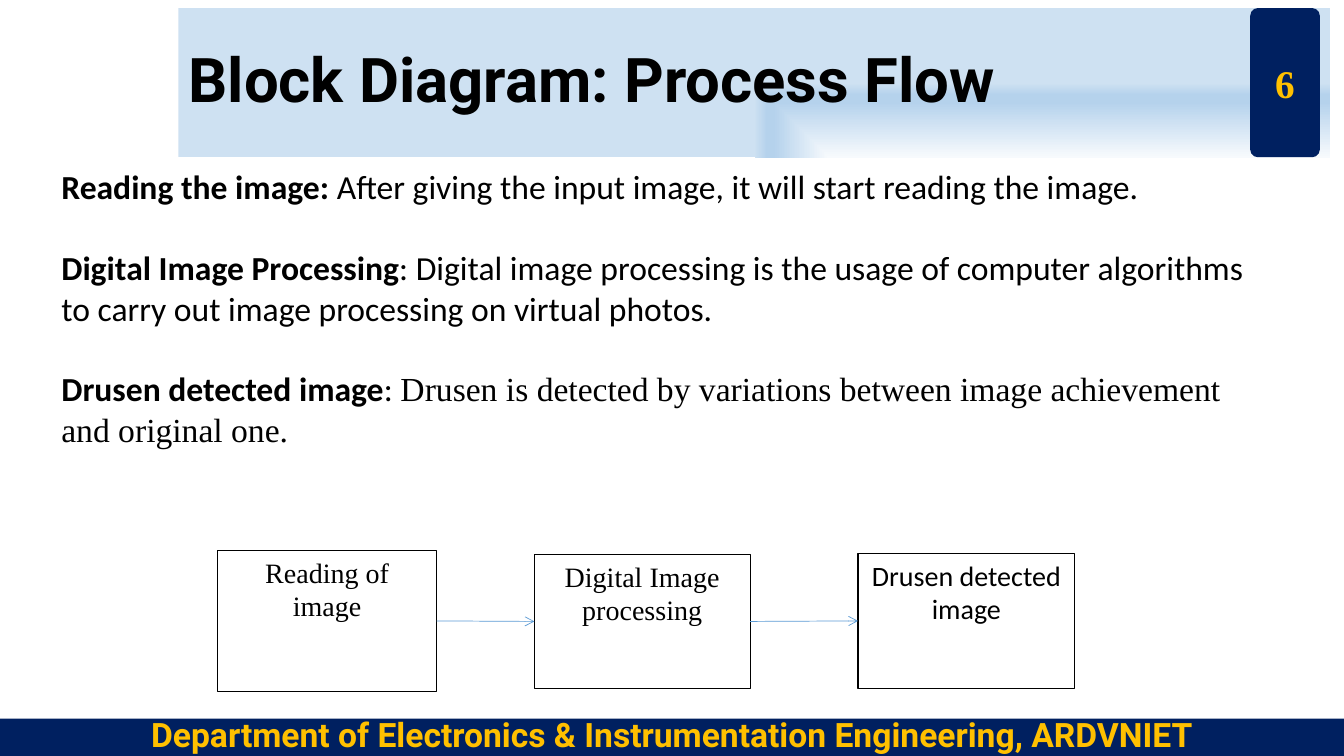
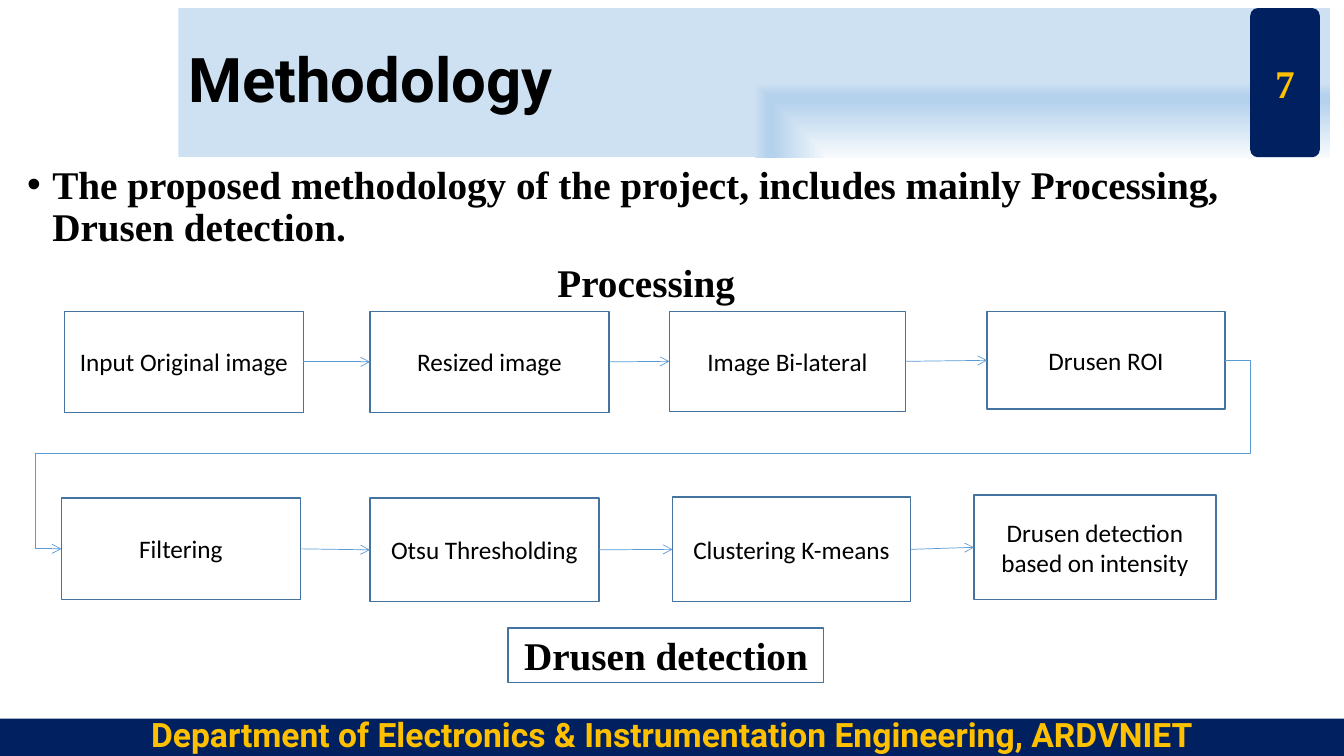
"""Build two slides on a drusen detection project: process flow and methodology."""
from dataclasses import dataclass
from itertools import pairwise

from lxml.etree import SubElement
from pptx import Presentation
from pptx.dml.color import RGBColor
from pptx.enum.shapes import MSO_CONNECTOR, MSO_SHAPE
from pptx.enum.text import MSO_ANCHOR, PP_ALIGN
from pptx.oxml import parse_xml
from pptx.oxml.ns import nsdecls, qn
from pptx.util import Inches, Pt


@dataclass(frozen=True)
class Theme:
    """Colours, fonts and type sizes of the deck."""
    navy: str = "002060"
    gold: str = "FFC000"
    black: str = "000000"
    white: str = "FFFFFF"
    box_line: str = "43739E"
    arrow: str = "5B9BD5"
    band: tuple = ((0, "F7FAFD"), (74, "B5D2EC"), (83, "B5D2EC"), (100, "CEE1F2"))
    heading: str = "Roboto"
    body: str = "Calibri"
    serif: str = "Times New Roman"
    title_size: int = 44
    lead_size: int = 28
    text_size: int = 24
    block_size: int = 20
    step_size: int = 18


THEME = Theme()
SLIDE_SIZE = (13.33, 7.5)
FOOTER = "Department of Electronics & Instrumentation Engineering, ARDVNIET"

FLOW = {
    "number": 6,
    "title": "Block Diagram: Process Flow",
    "stages": [
        ("Reading the image: ",
         [("After giving the input image, it will start reading the image.", THEME.body)]),
        ("Digital Image Processing",
         [(": Digital image processing is the usage of computer algorithms "
           "to carry out image processing on virtual photos.", THEME.body)]),
        ("Drusen detected image",
         [(": ", THEME.body),
          ("Drusen is detected by variations between image achievement "
           "and original one.", THEME.serif)]),
    ],
    "blocks": [
        ("Reading of image", THEME.serif, (2.16, 5.46, 2.17, 1.4)),
        ("Digital Image processing", THEME.serif, (5.3, 5.5, 2.14, 1.33)),
        ("Drusen detected image", THEME.body, (8.51, 5.49, 2.15, 1.34)),
    ],
}

METHOD = {
    "number": 7,
    "title": "Methodology",
    "lead": "The proposed methodology of the project, includes mainly Processing, "
            "Drusen detection.",
    "phase": "Processing",
    "rows": [
        [("Input Original image", (0.64, 3.09, 2.37, 1)),
         ("Resized image", (3.67, 3.09, 2.37, 1)),
         ("Image Bi-lateral", (6.64, 3.09, 2.34, 0.99)),
         ("Drusen ROI", (9.79, 3.09, 2.36, 0.97))],
        [("Filtering", (0.61, 4.94, 2.37, 1.01)),
         ("Otsu Thresholding", (3.67, 4.94, 2.27, 1.03)),
         ("Clustering K-means", (6.67, 4.93, 2.36, 1.04)),
         ("Drusen detection based on intensity", (9.66, 4.91, 2.4, 1.04))],
    ],
    "result": ("Drusen detection", (5.04, 6.23, 3.13, 0.54)),
}
RETURN_MARGIN = Inches(0.25)
RETURN_LEVEL = Inches(4.5)


def add_run(paragraph, text, size, font, color=THEME.black, bold=False):
    run = paragraph.add_run()
    run.text = text
    run.font.size = Pt(size)
    run.font.name = font
    run.font.bold = bold
    run.font.color.rgb = RGBColor.from_string(color)


def add_panel(slide, place, fill=None, line=None, line_width=1, kind=MSO_SHAPE.RECTANGLE,
              anchor=MSO_ANCHOR.MIDDLE, align=PP_ALIGN.CENTER):
    panel = slide.shapes.add_shape(kind, *map(Inches, place))
    panel.shadow.inherit = False
    if fill:
        panel.fill.solid()
        panel.fill.fore_color.rgb = RGBColor.from_string(fill)
    if line:
        panel.line.color.rgb = RGBColor.from_string(line)
        panel.line.width = Pt(line_width)
    else:
        panel.line.fill.background()
    panel.text_frame.word_wrap = True
    panel.text_frame.vertical_anchor = anchor
    panel.text_frame.paragraphs[0].alignment = align
    return panel


def add_text_area(slide, place):
    frame = slide.shapes.add_textbox(*map(Inches, place)).text_frame
    frame.word_wrap = True
    return frame


def fill_band(band):
    stops = "".join(f'<a:gs pos="{pos * 1000}"><a:srgbClr val="{color}"/></a:gs>'
                    for pos, color in THEME.band)
    gradient = parse_xml(
        f'<a:gradFill {nsdecls("a")} rotWithShape="1"><a:gsLst>{stops}</a:gsLst>'
        '<a:path path="rect"><a:fillToRect l="100000" t="100000"/></a:path>'
        '<a:tileRect r="-100000" b="-100000"/></a:gradFill>')
    band._element.spPr.find(qn("a:prstGeom")).addnext(gradient)


def add_arrow(slide, start, end, kind=MSO_CONNECTOR.STRAIGHT):
    arrow = slide.shapes.add_connector(kind, 0, 0, 0, 0)
    arrow.begin_connect(start, 3)
    arrow.end_connect(end, 1)
    arrow.line.color.rgb = RGBColor.from_string(THEME.arrow)
    arrow.line.width = Pt(0.5)
    SubElement(arrow.line._get_or_add_ln(), qn("a:tailEnd"), type="arrow")
    SubElement(arrow._element.spPr, qn("a:effectLst"))
    return arrow


def add_row_return(slide, start, end):
    arrow = add_arrow(slide, start, end, MSO_CONNECTOR.ELBOW)
    overhang = round(RETURN_MARGIN / arrow.width * 100000)
    level = round((RETURN_LEVEL - arrow.top) / arrow.height * 100000)
    geometry = arrow._element.spPr.find(qn("a:prstGeom"))
    geometry.set("prst", "bentConnector5")
    guides = geometry.find(qn("a:avLst"))
    if guides is None:
        guides = SubElement(geometry, qn("a:avLst"))
    for index, value in enumerate((-overhang, level, 100000 + overhang), 1):
        SubElement(guides, qn("a:gd"), name=f"adj{index}", fmla=f"val {value}")


def start_slide(deck, content):
    slide = deck.slides.add_slide(deck.slide_layouts[6])
    band = add_panel(slide, (1.77, 0.08, 11.42, 1.48), align=PP_ALIGN.LEFT)
    fill_band(band)
    title = band.text_frame.paragraphs[0]
    title.line_spacing = 0.9
    add_run(title, content["title"], THEME.title_size, THEME.heading, bold=True)

    badge = add_panel(slide, (12.4, 0.08, 0.69, 1.48), THEME.navy,
                      kind=MSO_SHAPE.ROUNDED_RECTANGLE)
    badge.adjustments[0] = 0.11
    badge.text_frame.margin_left = badge.text_frame.margin_right = Inches(0.05)
    add_run(badge.text_frame.paragraphs[0], str(content["number"]), THEME.lead_size,
            THEME.serif, THEME.gold, True)

    footer = add_panel(slide, (0, 7.13, 13.33, 0.37), THEME.navy, anchor=MSO_ANCHOR.BOTTOM)
    footer.text_frame.margin_bottom = Inches(0.02)
    add_run(footer.text_frame.paragraphs[0], FOOTER, THEME.text_size, THEME.heading,
            THEME.gold, True)
    return slide


def build_flow(deck):
    slide = start_slide(deck, FLOW)
    frame = add_text_area(slide, (0.51, 1.6, 12.19, 3.33))
    for index, (term, explanation) in enumerate(FLOW["stages"]):
        paragraph = frame.add_paragraph() if index else frame.paragraphs[0]
        paragraph.space_before = Pt(29 if index else 0)
        add_run(paragraph, term, THEME.text_size, THEME.body, bold=True)
        for text, font in explanation:
            add_run(paragraph, text, THEME.text_size, font)

    blocks = []
    for label, font, place in FLOW["blocks"]:
        block = add_panel(slide, place, THEME.white, THEME.black, 0.75, anchor=MSO_ANCHOR.TOP)
        add_run(block.text_frame.paragraphs[0], label, THEME.block_size, font)
        blocks.append(block)
    for start, end in pairwise(blocks):
        add_arrow(slide, start, end)


def build_method(deck):
    slide = start_slide(deck, METHOD)
    frame = add_text_area(slide, (0.17, 1.59, 12.99, 1.45))
    lead, phase = frame.paragraphs[0], frame.add_paragraph()
    for paragraph, text, left, hang in ((lead, METHOD["lead"], 0.25, -0.25),
                                        (phase, METHOD["phase"], 5.26, 0)):
        paragraph.line_spacing = 0.9
        paragraph.space_before = Pt(10)
        properties = paragraph._p.get_or_add_pPr()
        properties.set("marL", str(Inches(left)))
        properties.set("indent", str(Inches(hang)))
        add_run(paragraph, text, THEME.lead_size, THEME.serif, bold=True)
    bullet = lead._p.get_or_add_pPr()
    SubElement(bullet, qn("a:buFont"), typeface="Arial")
    SubElement(bullet, qn("a:buChar"), char="•")

    rows = []
    for row in METHOD["rows"]:
        steps = []
        for label, place in row:
            step = add_panel(slide, place, THEME.white, THEME.box_line)
            add_run(step.text_frame.paragraphs[0], label, THEME.step_size, THEME.body)
            steps.append(step)
        for start, end in pairwise(steps):
            add_arrow(slide, start, end)
        rows.append(steps)
    for upper, lower in pairwise(rows):
        add_row_return(slide, upper[-1], lower[0])

    label, place = METHOD["result"]
    result = add_panel(slide, place, THEME.white, THEME.box_line)
    add_run(result.text_frame.paragraphs[0], label, THEME.lead_size, THEME.serif, bold=True)


def main():
    deck = Presentation()
    deck.slide_width, deck.slide_height = map(Inches, SLIDE_SIZE)
    build_flow(deck)
    build_method(deck)
    deck.save("out.pptx")


if __name__ == "__main__":
    main()
